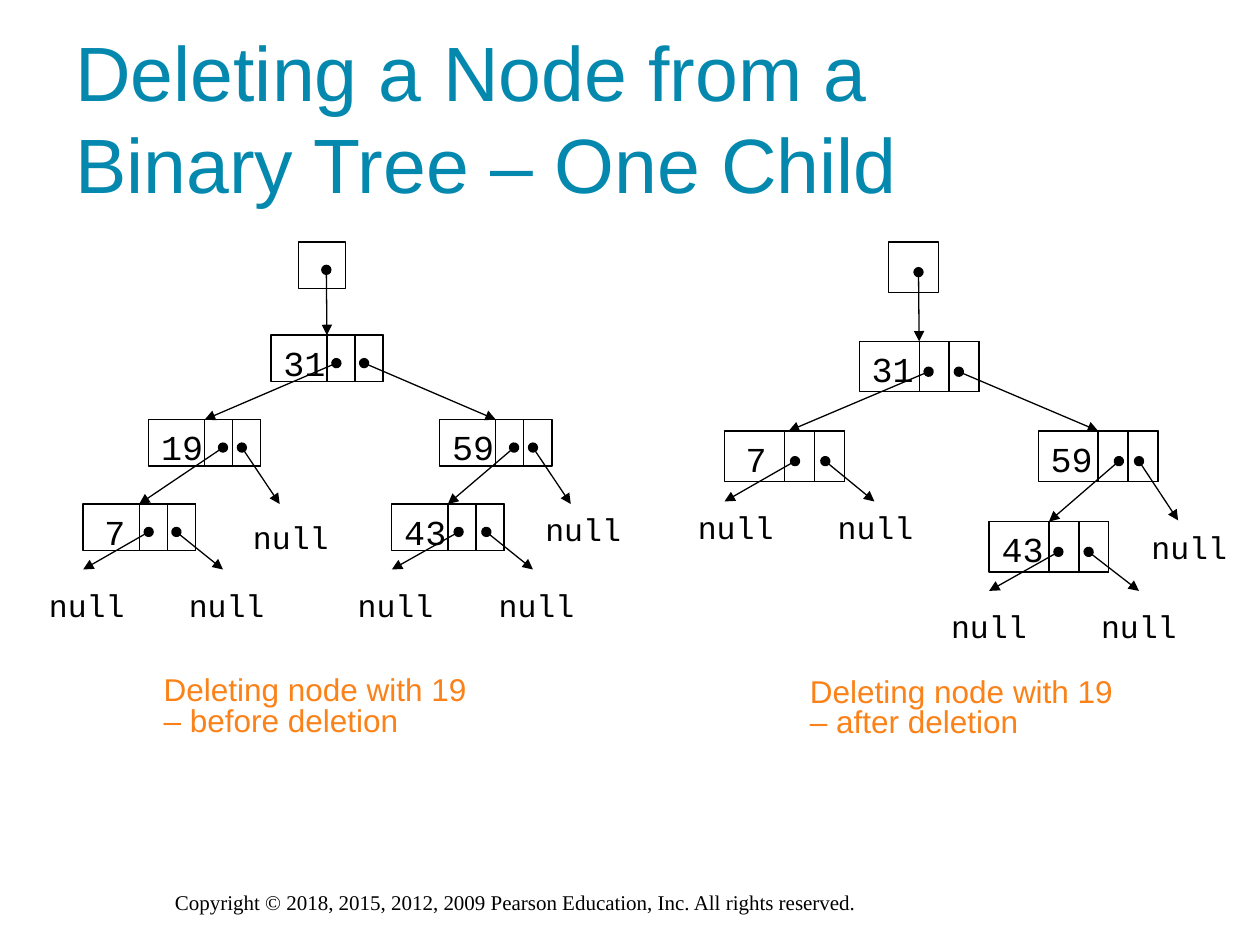
from lxml import etree
from pptx import Presentation
from pptx.dml.color import RGBColor
from pptx.enum.shapes import MSO_CONNECTOR, MSO_SHAPE
from pptx.enum.text import MSO_ANCHOR, MSO_AUTO_SIZE
from pptx.oxml.ns import qn
from pptx.util import Inches, Pt

BLACK = RGBColor(0x00, 0x00, 0x00)
TEAL = RGBColor(0x04, 0x88, 0xAE)
ORANGE = RGBColor(0xFA, 0x82, 0x18)
STRAIGHT = MSO_CONNECTOR.STRAIGHT
RECTANGLE = MSO_SHAPE.RECTANGLE
MIDDLE = MSO_ANCHOR.MIDDLE
GROW = MSO_AUTO_SIZE.SHAPE_TO_FIT_TEXT
FIXED = MSO_AUTO_SIZE.NONE
TOP_SIDE = 0

TITLE = {"name": "Arial", "size": Pt(44), "color": TEAL}
CAPTION = {"name": "Arial", "size": Pt(18), "color": ORANGE}
FOOTER = {"name": "Times New Roman", "size": Pt(12), "color": BLACK}
NUMBER = {"name": "Courier New", "size": Pt(20), "color": BLACK}
NULL = {"name": "Courier New", "size": Pt(18), "color": BLACK}

BEFORE = {
    "node_size": (0.89, 0.37),
    "root": (2.37, 1.92),
    "nodes": {"31": (2.15, 2.66), "59": (3.49, 3.33), "19": (1.18, 3.33),
              "7": (0.66, 4), "43": (3.11, 4)},
    "links": [("root", 0.22, "31"),
              ("31", 0.52, "19"), ("31", 0.74, "59"),
              ("19", 0.59, "7"), ("19", 0.74, (2.22, 4)),
              ("59", 0.59, "43"), ("59", 0.74, (4.53, 4)),
              ("7", 0.52, (0.66, 4.52)), ("7", 0.74, (1.77, 4.52)),
              ("43", 0.53, (3.11, 4.52)), ("43", 0.75, (4.23, 4.52))],
    "nulls": [(1.91, 4.06), (4.23, 4), (0.29, 4.6), (1.4, 4.6),
              (2.74, 4.6), (3.86, 4.6)],
}
AFTER = {
    "node_size": (0.95, 0.4),
    "root": (7.05, 1.92),
    "nodes": {"31": (6.82, 2.71), "59": (8.24, 3.42), "7": (5.75, 3.42),
              "43": (7.85, 4.14)},
    "links": [("root", 0.24, "31"),
              ("31", 0.55, (6.26, 3.42)), ("31", 0.79, "59"),
              ("59", 0.64, "43"), ("59", 0.8, (9.35, 4.13)),
              ("7", 0.56, (5.75, 3.98)), ("7", 0.8, (6.94, 3.98)),
              ("43", 0.55, (7.85, 4.69)), ("43", 0.79, (9.04, 4.69))],
    "nulls": [(9.04, 4.14), (5.44, 3.98), (6.55, 3.98), (7.45, 4.77),
              (8.64, 4.77)],
}


class TreeSlide:
    def __init__(self, slide):
        self.slide = slide
        self.line_width = Pt(0.75)

    def text(self, shapes, words, box, style, wrap=True, spacing=None):
        shape = shapes.add_textbox(*map(Inches, box))
        frame = shape.text_frame
        frame.word_wrap = wrap
        frame.auto_size = GROW
        paragraph = frame.paragraphs[0]
        paragraph.text = words
        paragraph.line_spacing = spacing
        for run in paragraph.runs:
            for name, value in style.items():
                if name == "color":
                    run.font.color.rgb = value
                else:
                    setattr(run.font, name, value)
        return shape

    def title(self, words, box):
        shape = self.text(self.slide.shapes, words, box, TITLE)
        layout = {"auto_size": FIXED, "vertical_anchor": MIDDLE}
        for name, value in layout.items():
            setattr(shape.text_frame, name, value)

    def rectangle(self, shapes, x, y, width, height):
        shape = shapes.add_shape(RECTANGLE, *map(Inches, (x, y, width, height)))
        shape.shadow.inherit = False
        shape.fill.background()
        shape.line.color.rgb = BLACK
        shape.line.width = self.line_width
        return shape

    def node(self, shapes, x, y, width, height):
        body = self.rectangle(shapes, x, y, width, height)
        for part in (0.75, 0.5):
            self.rectangle(shapes, x + width * part, y, width / 4, height)
        return body

    def arrow(self, shapes, start, end, target=None):
        connector = shapes.add_connector(STRAIGHT, *map(Inches, start + end))
        if target is not None:
            connector.end_connect(target, TOP_SIDE)
        connector.line.color.rgb = BLACK
        connector.line.width = self.line_width
        line = connector.line._get_or_add_ln()
        for tag, kind in (("a:headEnd", "oval"), ("a:tailEnd", "triangle")):
            etree.SubElement(line, qn(tag), type=kind)
        etree.SubElement(connector._element.spPr, qn("a:effectLst"))

    def tree(self, data):
        shapes = self.slide.shapes.add_group_shape().shapes
        width, height = data["node_size"]
        places = {"root": data["root"], **data["nodes"]}
        self.rectangle(shapes, *data["root"], height, height)
        bodies = {value: self.node(shapes, *place, width, height)
                  for value, place in data["nodes"].items()}
        for parent, offset, target in data["links"]:
            x, y = places[parent]
            start = (x + offset, y + height * 0.6)
            if target in bodies:
                left, top = places[target]
                self.arrow(shapes, start, (left + width / 2, top), bodies[target])
            else:
                self.arrow(shapes, start, target)
        for value, (x, y) in data["nodes"].items():
            indent, label_width = (0.07, 0.37) if len(value) == 1 else (0, 0.55)
            self.text(shapes, value, (x + indent, y, label_width, 0.44), NUMBER, False)
        for x, y in data["nulls"]:
            self.text(shapes, "null", (x, y, 0.8, 0.4), NULL, False)

    def caption(self, words, x, y):
        self.text(self.slide.shapes, words, (x, y, 2.77, 0.58), CAPTION, spacing=0.8)

    def footer(self, words, box):
        self.text(self.slide.shapes, words, box, FOOTER)


def main():
    presentation = Presentation()
    presentation.slide_width = Inches(10)
    presentation.slide_height = Inches(7.5)
    page = TreeSlide(presentation.slides.add_slide(presentation.slide_layouts[6]))
    page.footer("Copyright © 2018, 2015, 2012, 2009 Pearson Education, Inc. "
                "All rights reserved.", (1.29, 7.01, 7.42, 0.3))
    page.title("Deleting a Node from a \vBinary Tree – One Child", (0.5, 0.3, 9, 1.25))
    page.tree(BEFORE)
    page.caption("Deleting node with 19 – before deletion", 1.2, 5.33)
    page.tree(AFTER)
    page.caption("Deleting node with 19 – after deletion", 6.33, 5.34)
    presentation.save("out.pptx")


if __name__ == "__main__":
    main()
